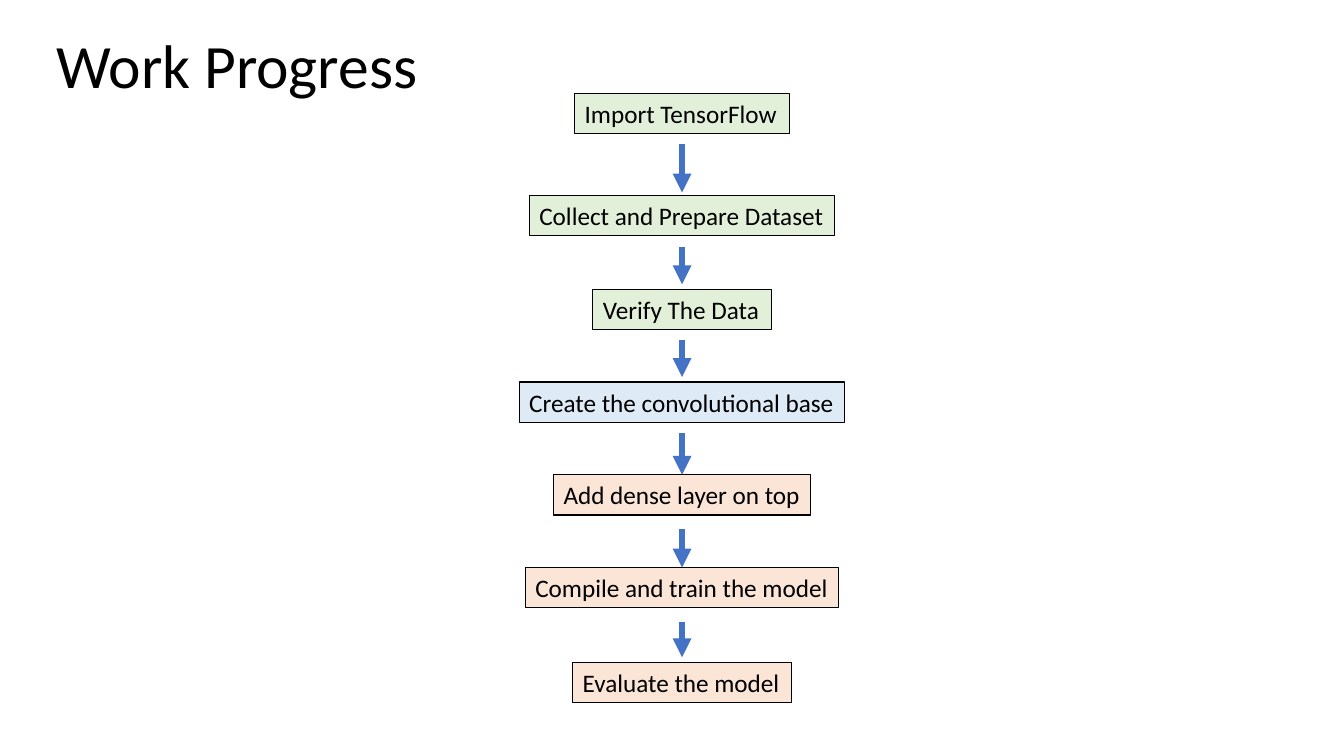
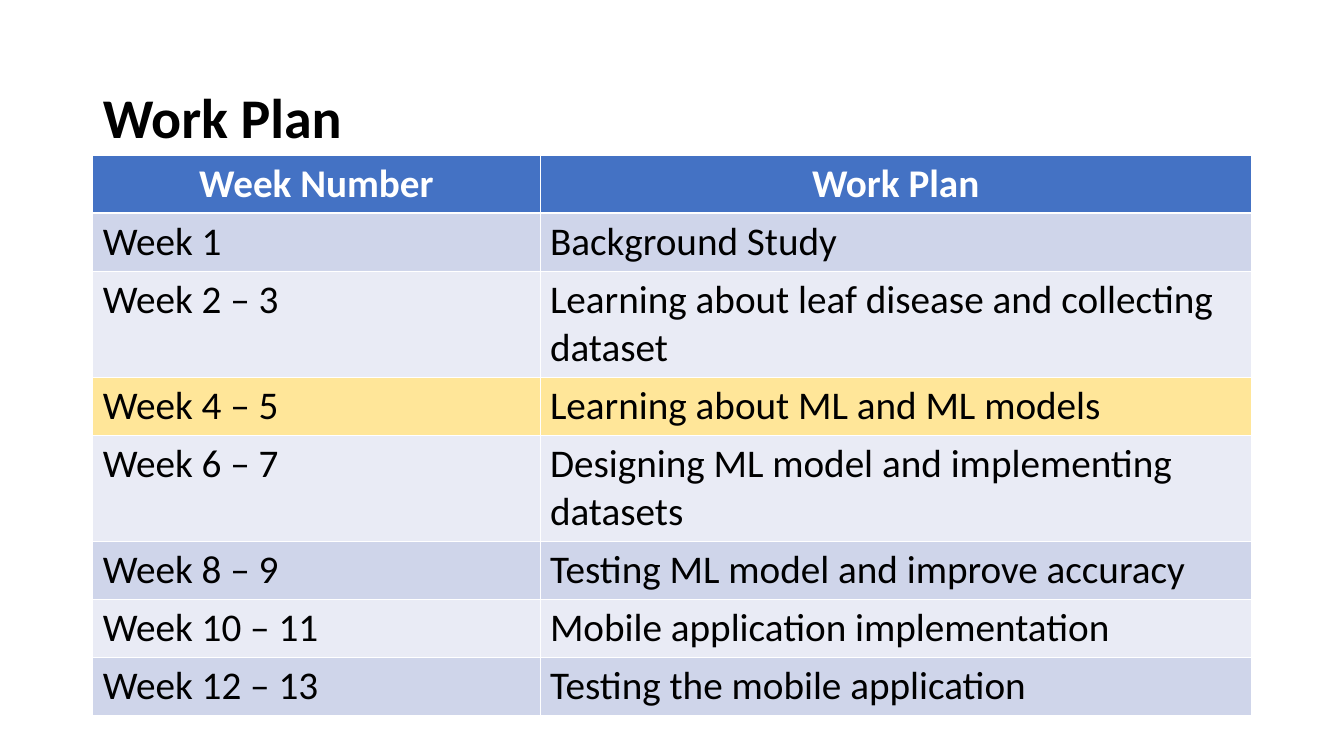
import pptx
import pptx.util
import pptx.dml.color
import pptx.enum.shapes
import pptx.enum.text
import pptx.oxml
import pptx.oxml.ns
import lxml.etree

COLORS = {
    "black": "000000",
    "white": "FFFFFF",
    "blue": "4472C4",
    "green tint": "E2F0D9",
    "blue tint": "DEEBF7",
    "orange tint": "FBE5D6",
    "band dark": "CFD5EA",
    "band light": "E9EBF5",
    "highlight": "FFE699",
}
ALIGN = pptx.enum.text.PP_ALIGN
ANCHOR = pptx.enum.text.MSO_ANCHOR
AUTO_SIZE = pptx.enum.text.MSO_AUTO_SIZE
PX = 9144


def px(length):
    return pptx.util.Emu(length * PX)


def color(name):
    return pptx.dml.color.RGBColor.from_string(COLORS[name])


def add_element(parent, tag, **attributes):
    element = lxml.etree.SubElement(parent, pptx.oxml.ns.qn(tag))
    for key, value in attributes.items():
        element.set(key, value)
    return element


class Deck:
    font = "Calibri"

    def __init__(self, width, height):
        self.presentation = pptx.Presentation()
        self.presentation.slide_width = px(width)
        self.presentation.slide_height = px(height)
        self.slide = None

    def add_slide(self):
        layout = self.presentation.slide_layouts.get_by_name("Title Only")
        self.slide = self.presentation.slides.add_slide(layout)

    def add_text(self, paragraph, text, size, ink="black", bold=False, align=ALIGN.LEFT):
        paragraph.alignment = align
        run = paragraph.add_run()
        run.text = text
        run.font.name = self.font
        run.font.size = pptx.util.Pt(size)
        run.font.bold = bold
        run.font.color.rgb = color(ink)

    def title(self, text, left, top, width, height, size, bold, anchor, spacing):
        shape = self.slide.shapes.title
        shape.left, shape.top = px(left), px(top)
        shape.width, shape.height = px(width), px(height)
        frame = shape.text_frame
        frame.auto_size = AUTO_SIZE.NONE
        frame.vertical_anchor = anchor
        frame.paragraphs[0].line_spacing = spacing
        self.add_text(frame.paragraphs[0], text, size, bold=bold)

    def box(self, text, fill, center, top, width, height):
        shape = self.slide.shapes.add_shape(
            pptx.enum.shapes.MSO_SHAPE.RECTANGLE,
            px(center) - px(width) // 2, px(top), px(width), px(height))
        shape.shadow.inherit = False
        shape.fill.solid()
        shape.fill.fore_color.rgb = color(fill)
        shape.line.color.rgb = color("black")
        shape.line.width = pptx.util.Pt(0.75)
        frame = shape.text_frame
        frame.word_wrap = False
        frame.auto_size = AUTO_SIZE.SHAPE_TO_FIT_TEXT
        frame.vertical_anchor = ANCHOR.TOP
        self.add_text(frame.paragraphs[0], text, 18)

    def down_arrow(self, center, top, bottom):
        connector = self.slide.shapes.add_connector(
            pptx.enum.shapes.MSO_CONNECTOR.STRAIGHT,
            px(center), px(top), px(center), px(bottom))
        connector.line.color.rgb = color("blue")
        connector.line.width = pptx.util.Pt(4.5)
        properties = connector._element.spPr
        line = properties.find(pptx.oxml.ns.qn("a:ln"))
        add_element(line, "a:tailEnd", type="triangle")
        add_element(properties, "a:effectLst")

    def cell_borders(self, cell, widths):
        properties = cell._tc.get_or_add_tcPr()
        for position, (side, width) in enumerate(widths.items()):
            line = add_element(properties, f"a:ln{side}", w=str(int(pptx.util.Pt(width))))
            add_element(add_element(line, "a:solidFill"), "a:srgbClr", val=COLORS["white"])
            properties.insert(position, line)

    def table(self, header, rows, left, top, column_widths, row_heights):
        table = self.slide.shapes.add_table(
            len(rows) + 1, len(header), px(left), px(top),
            px(sum(column_widths)), px(sum(row_heights))).table
        table.first_row = True
        table.horz_banding = False
        for column, width in zip(table.columns, column_widths):
            column.width = px(width)
        for row, height in zip(table.rows, row_heights):
            row.height = px(height)
        lines = [("blue", header)] + rows
        for row_index, (fill, texts) in enumerate(lines):
            is_header = row_index == 0
            borders = {"L": 0.45, "R": 0.45,
                       "T": 1.47 if row_index == 1 else 0.45,
                       "B": 1.47 if is_header else 0.45}
            for column_index, text in enumerate(texts):
                cell = table.cell(row_index, column_index)
                cell.fill.solid()
                cell.fill.fore_color.rgb = color(fill)
                self.cell_borders(cell, borders)
                self.add_text(cell.text_frame.paragraphs[0], text, 28,
                              ink="white" if is_header else "black", bold=is_header,
                              align=ALIGN.CENTER if is_header else ALIGN.LEFT)


def work_progress(deck):
    deck.add_slide()
    deck.title("Work Progress", 46, 22, 402, 84, 44, False, ANCHOR.TOP, 1.0)
    center = 677
    steps = [
        ("Import TensorFlow", "green tint", 93, 213),
        ("Collect and Prepare Dataset", "green tint", 194, 303),
        ("Verify The Data", "green tint", 287, 177),
        ("Create the convolutional base", "blue tint", 379, 323),
        ("Add dense layer on top", "orange tint", 471, 255),
        ("Compile and train the model", "orange tint", 563, 311),
        ("Evaluate the model", "orange tint", 657, 217),
    ]
    for text, fill, top, width in steps:
        deck.box(text, fill, center, top, width, 40)
    arrows = [(143, 191), (245, 282), (337, 374), (430, 471), (525, 563), (617, 652)]
    for top, bottom in arrows:
        deck.down_arrow(center, top, bottom)


def work_plan(deck):
    deck.add_slide()
    deck.title("Work Plan", 92, 40, 1150, 114, 40, True, ANCHOR.BOTTOM, 0.9)
    rows = [
        ("band dark", ("Week 1", "Background Study")),
        ("band light", ("Week 2 – 3", "Learning about leaf disease and collecting dataset")),
        ("highlight", ("Week 4 – 5", "Learning about ML and ML models")),
        ("band light", ("Week 6 – 7", "Designing ML model and implementing datasets")),
        ("band dark", ("Week 8 – 9", "Testing ML model and improve accuracy")),
        ("band light", ("Week 10 – 11", "Mobile application implementation")),
        ("band dark", ("Week 12 – 13", "Testing the mobile application")),
    ]
    single, double = 57, 103
    heights = [single, single, double, single, double, single, single, single]
    deck.table(("Week Number", "Work Plan"), rows, 92, 154, (444, 706), heights)


def main():
    deck = Deck(1334, 750)
    work_progress(deck)
    work_plan(deck)
    deck.presentation.save("out.pptx")


if __name__ == "__main__":
    main()
